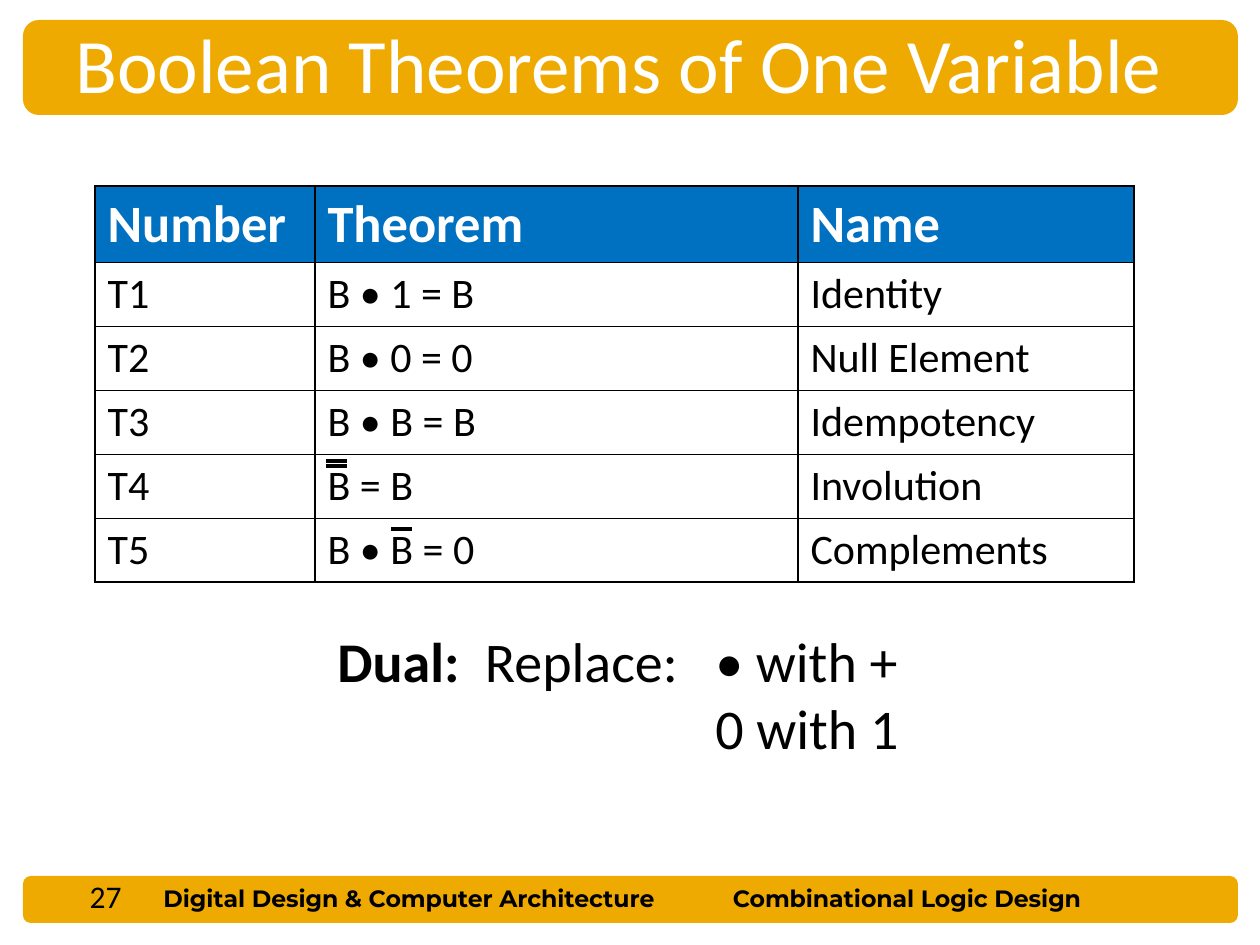
from pptx import Presentation
from pptx.dml.color import RGBColor
from pptx.enum.shapes import MSO_CONNECTOR, MSO_SHAPE
from pptx.enum.text import PP_ALIGN
from pptx.oxml import parse_xml
from pptx.oxml.ns import nsdecls
from pptx.util import Pt

PX = 914400 // 126
BLACK = RGBColor(0x00, 0x00, 0x00)
WHITE = RGBColor(0xFF, 0xFF, 0xFF)
GOLD = RGBColor(0xEE, 0xAA, 0x00)
BLUE = RGBColor(0x00, 0x70, 0xC0)

# Font formats
TITLE = dict(name="Calibri", size=Pt(44), color=WHITE, bold=False)
FOOTER = dict(name="Montserrat", size=Pt(13.5), color=BLACK, bold=True)
PAGE = dict(name="Calibri", size=Pt(18), color=BLACK, bold=False)
HEAD = dict(name="Calibri", size=Pt(30), color=WHITE, bold=True)
BODY = dict(HEAD, size=Pt(24), color=BLACK, bold=False)
DUAL = dict(BODY, size=Pt(32))
DUAL_BOLD = dict(DUAL, bold=True)

# Content: boxes are left, top, width, height in px
BARS = [(23, 876, 1215, 47), (23, 20, 1215, 95)]
TEXTS = [
    ((151, 878, 559, 42), PP_ALIGN.LEFT, True,
     [[("Digital Design & Computer Architecture", FOOTER)]]),
    ((588, 878, 638, 42), PP_ALIGN.CENTER, True,
     [[("Combinational Logic Design", FOOTER)]]),
    ((63, 10, 1134, 106), PP_ALIGN.LEFT, True,
     [[("Boolean Theorems of One Variable", TITLE)]]),
    ((325, 620, 605, 149), PP_ALIGN.LEFT, False,
     [[("Dual:", DUAL_BOLD), ("  Replace:\t• with +", DUAL)],
      [("\t0 with 1", DUAL)]]),
    ((-105, 871, 239, 49), PP_ALIGN.RIGHT, True, [[("27", PAGE)]]),
]
DUAL_TAB = 378
THEOREMS = [
    ("Number", "Theorem", "Name"),
    ("T1", "B • 1 = B", "Identity"),
    ("T2", "B • 0 = 0", "Null Element"),
    ("T3", "B • B = B", "Idempotency"),
    ("T4", "B = B", "Involution"),
    ("T5", "B • B = 0", "Complements"),
]
TABLE_LEFT, TABLE_TOP = 95, 186
COLS = [220, 483, 336]
ROWS = [76] + [63] * 5
OVERBARS = [(391, 529), (326, 466), (326, 461)]
OVERBAR_WIDTH = 21


def px(*values):
    return [v * PX for v in values]


def add_run(p, text, fmt):
    r = p.add_run()
    r.text = text
    for key, value in fmt.items():
        if key == "color":
            r.font.color.rgb = value
        else:
            setattr(r.font, key, value)


def add_text(s, box, align, wrap, paragraphs):
    tf = s.shapes.add_textbox(*px(*box)).text_frame
    tf.word_wrap = wrap
    for i, runs in enumerate(paragraphs):
        p = tf.paragraphs[0] if i == 0 else tf.add_paragraph()
        p.alignment = align
        if any("\t" in text for text, _ in runs):
            p._p.get_or_add_pPr().append(parse_xml(
                f'<a:tabLst {nsdecls("a")}>'
                f'<a:tab pos="{DUAL_TAB * PX}" algn="l"/></a:tabLst>'))
        for text, fmt in runs:
            add_run(p, text, fmt)


def add_borders(cell):
    tcPr = cell._tc.get_or_add_tcPr()
    for side in "LRTB":
        tcPr.append(parse_xml(
            f'<a:ln{side} {nsdecls("a")} w="{Pt(1)}"><a:solidFill>'
            f'<a:srgbClr val="{BLACK}"/></a:solidFill></a:ln{side}>'))


def add_theorems(s):
    size = px(TABLE_LEFT, TABLE_TOP, sum(COLS), sum(ROWS))
    table = s.shapes.add_table(len(ROWS), len(COLS), *size).table
    for col, width in zip(table.columns, COLS):
        col.width = width * PX
    for i, (row, height) in enumerate(zip(table.rows, ROWS)):
        row.height = height * PX
        for cell, text in zip(row.cells, THEOREMS[i]):
            add_borders(cell)
            cell.fill.solid()
            cell.fill.fore_color.rgb = WHITE if i else BLUE
            add_run(cell.text_frame.paragraphs[0], text, BODY if i else HEAD)


def main():
    prs = Presentation()
    prs.slide_width, prs.slide_height = px(1260, 945)
    s = prs.slides.add_slide(prs.slide_layouts[6])

    # Title and footer bars
    for box in BARS:
        sp = s.shapes.add_shape(MSO_SHAPE.ROUNDED_RECTANGLE, *px(*box))
        sp.shadow.inherit = False
        sp.fill.solid()
        sp.fill.fore_color.rgb = GOLD
        sp.line.fill.background()

    add_theorems(s)
    for item in TEXTS:
        add_text(s, *item)

    # Complement bars over the Bs
    for x, y in OVERBARS:
        line = s.shapes.add_connector(
            MSO_CONNECTOR.STRAIGHT, *px(x, y, x + OVERBAR_WIDTH, y))
        line.line.color.rgb = BLACK
        line.line.width = Pt(2)
        line._element.spPr.append(parse_xml(f'<a:effectLst {nsdecls("a")}/>'))

    prs.save("out.pptx")


if __name__ == "__main__":
    main()
